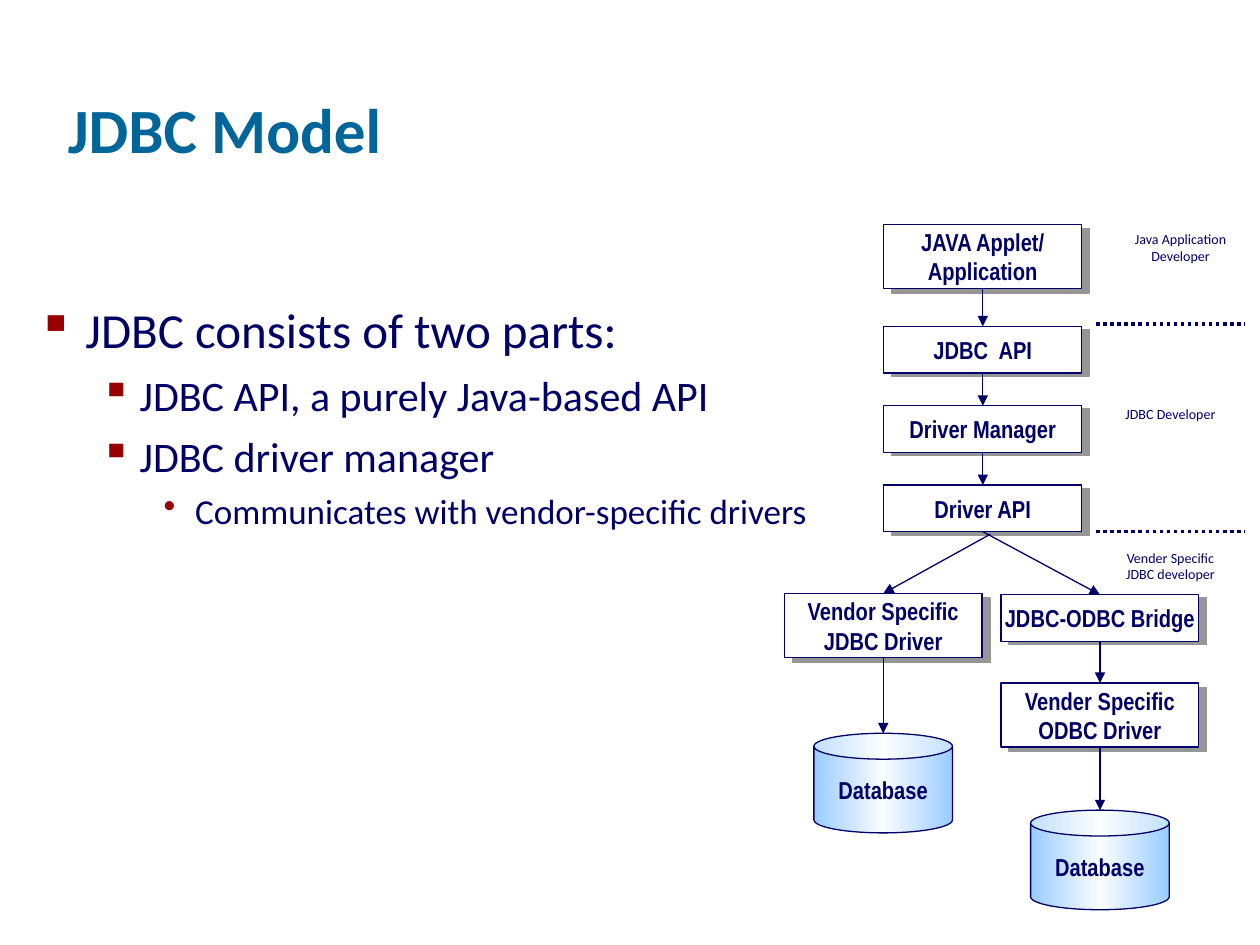
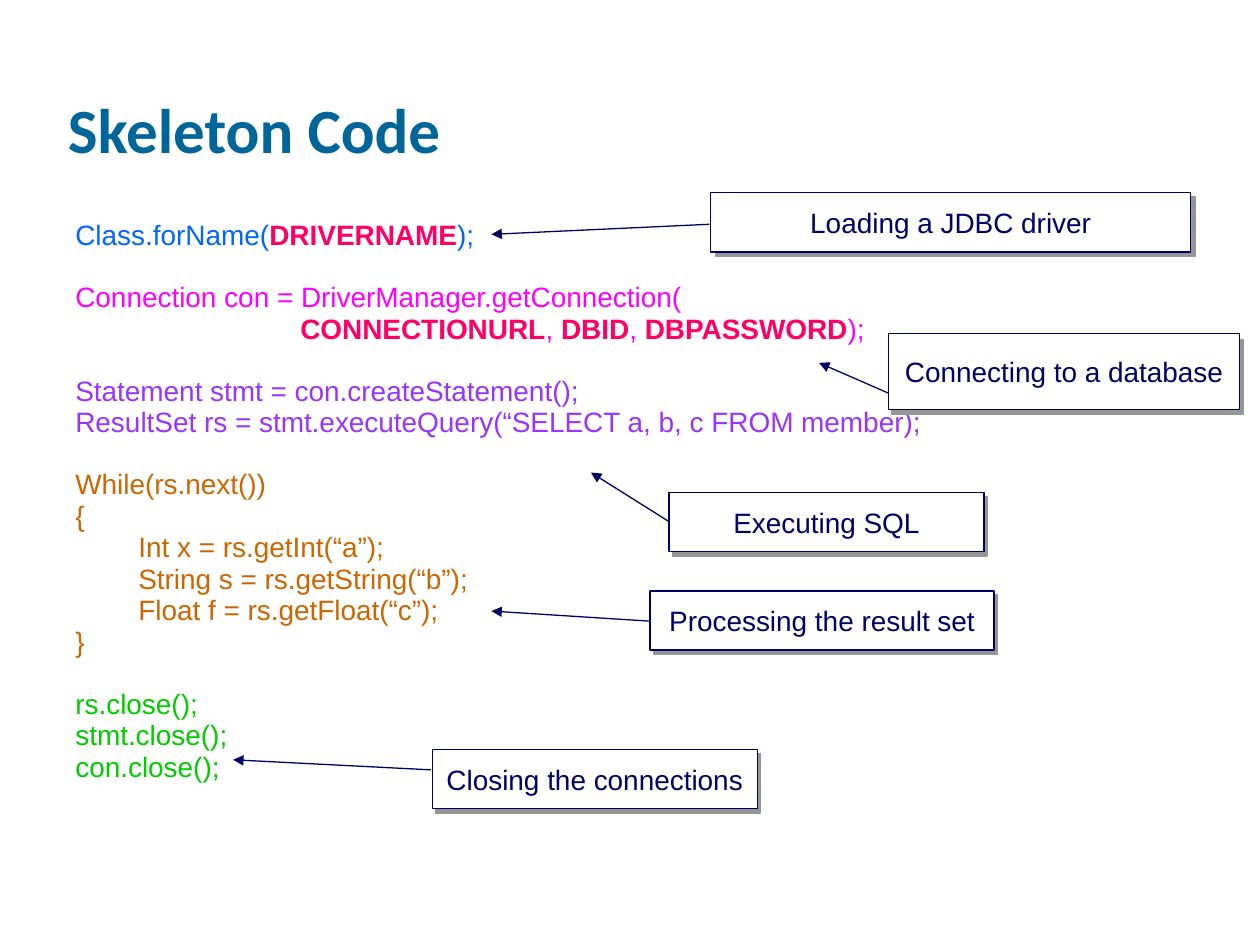
"""Build two slides on the JDBC model and its skeleton code."""
from copy import deepcopy
from dataclasses import dataclass

import pptx
import pptx.dml.color
import pptx.enum.dml
import pptx.enum.shapes
import pptx.enum.text
import pptx.oxml
import pptx.oxml.ns
import pptx.util
from pptx.dml.color import RGBColor

WIDTH, HEIGHT = pptx.util.Inches(10), pptx.util.Inches(7.5)
COLUMN, ROW = WIDTH / 100, HEIGHT / 75

NAVY = RGBColor(0x00, 0x00, 0x66)
TITLE_BLUE = RGBColor(0x00, 0x66, 0x99)
BULLET_RED = RGBColor(0x99, 0x00, 0x00)
SHADOW_GRAY = RGBColor(0x96, 0x96, 0x96)
WHITE = RGBColor(0xFF, 0xFF, 0xFF)
CAN_EDGE = RGBColor(0x99, 0xCC, 0xFF)
CAN_MIDDLE = RGBColor(0xFA, 0xFC, 0xFE)
LOAD_BLUE = RGBColor(0x00, 0x66, 0xFF)
CONNECT_MAGENTA = RGBColor(0xFF, 0x00, 0xFF)
QUERY_PURPLE = RGBColor(0x99, 0x33, 0xFF)
RESULT_BROWN = RGBColor(0xCC, 0x66, 0x00)
CLOSE_GREEN = RGBColor(0x00, 0xCC, 0x00)
ARGUMENT_PINK = RGBColor(0xFF, 0x00, 0x66)

CENTER = pptx.enum.text.PP_ALIGN.CENTER
MIDDLE = pptx.enum.text.MSO_ANCHOR.MIDDLE
RECTANGLE = pptx.enum.shapes.MSO_SHAPE.RECTANGLE
CAN = pptx.enum.shapes.MSO_SHAPE.CAN
Point = tuple[float, float]


@dataclass(frozen=True)
class Area:
    left: float
    top: float
    width: float
    height: float

    @property
    def bottom(self) -> float:
        return self.top + self.height

    @property
    def center(self) -> float:
        return self.left + self.width / 2

    def emu(self) -> tuple[int, int, int, int]:
        return (round(self.left * COLUMN), round(self.top * ROW),
                round(self.width * COLUMN), round(self.height * ROW))


@dataclass(frozen=True)
class TextStyle:
    name: str
    size: float
    color: RGBColor = NAVY
    bold: bool = False


@dataclass(frozen=True)
class Bullet:
    text: str
    symbol: str
    size: int
    margin: float
    hang: float
    before: float


@dataclass(frozen=True)
class CodeLine:
    pieces: tuple[str, ...]
    indent: float = 0


@dataclass(frozen=True)
class Callout:
    text: str
    area: Area
    start: Point
    target: Point


TITLE = TextStyle("Calibri", 36, TITLE_BLUE, True)
NODE = TextStyle("Arial Narrow", 14, bold=True)
LABEL = TextStyle("Calibri", 8)
CALLOUT = TextStyle("Arial", 16)

BULLETS = (
    Bullet("JDBC consists of two parts:", "▪", 28, 3.8, 3.8, 0),
    Bullet("JDBC API, a purely Java-based API", "▪", 24, 8.1, 3.1, 6),
    Bullet("JDBC driver manager", "▪", 24, 8.1, 3.1, 6),
    Bullet("Communicates with vendor-specific drivers", "•", 20, 12.5, 2.5, 5),
)

NODE_WIDTH, ONE_LINE, TWO_LINES = 15.7, 3.7, 5.1
MAIN_CENTER, VENDOR_CENTER, BRIDGE_CENTER = 78, 70.1, 87.3
STACK_TOP, STACK_STEP = 25.9, 6.3

LABELS = (
    ("Java Application Developer", Area(88.6, 17.8, 10.2, 5)),
    ("JDBC Developer", Area(87.8, 31.7, 10.2, 2.4)),
    ("Vender Specific JDBC developer", Area(87.8, 43.1, 10.2, 5)),
)

CODE_BLOCKS = (
    (LOAD_BLUE, (CodeLine(("Class.forName(", "DRIVERNAME", ");")),)),
    (CONNECT_MAGENTA, (
        CodeLine(("Connection con = DriverManager.getConnection(",)),
        CodeLine(("                             ", "CONNECTIONURL", ", ",
                  "DBID", ", ", "DBPASSWORD", ");")))),
    (QUERY_PURPLE, (
        CodeLine(("Statement stmt = con.createStatement();",)),
        CodeLine(("ResultSet rs = stmt.executeQuery(“SELECT a, b, c FROM member);",)))),
    (RESULT_BROWN, (
        CodeLine(("While(rs.next())",)),
        CodeLine(("{",)),
        CodeLine(("Int x = rs.getInt(“a”);",), 5),
        CodeLine(("String s = rs.getString(“b”);",), 5),
        CodeLine(("Float f = rs.getFloat(“c”);",), 5),
        CodeLine(("}",)))),
    (CLOSE_GREEN, (
        CodeLine(("rs.close();",)),
        CodeLine(("stmt.close();",)),
        CodeLine(("con.close();",)))),
)
CODE_GAP, CODE_PITCH = 4.6, 17.4

CALLOUTS = (
    Callout("Loading a JDBC driver", Area(56.4, 15.3, 38.1, 4.7), (56.3, 17.8), (39, 18.6)),
    Callout("Connecting to a database", Area(70.5, 26.5, 27.9, 6), (70.5, 31.2), (65, 28.8)),
    Callout("Executing SQL", Area(53.1, 39.1, 25, 4.7), (53.1, 41.4), (46.9, 37.5)),
    Callout("Processing the result set", Area(51.6, 46.9, 27.3, 4.7), (51.6, 49.3), (39, 48.5)),
    Callout("Closing the connections", Area(34.3, 59.5, 25.8, 4.7), (34.2, 61.1), (18.5, 60.3)),
)


def set_font(font, style: TextStyle) -> None:
    font.name, font.size, font.bold = style.name, pptx.util.Pt(style.size), style.bold
    font.color.rgb = style.color


def add_drawing_element(parent, tag: str, **attributes: str):
    element = pptx.oxml.parse_xml(f"<a:{tag} {pptx.oxml.ns.nsdecls('a')}/>")
    for name, value in attributes.items():
        element.set(name, value)
    parent.append(element)
    return element


def set_indent(paragraph, margin: float, hang: float = 0):
    properties = paragraph._p.get_or_add_pPr()
    properties.set("marL", str(round(margin * COLUMN)))
    properties.set("indent", str(round(-hang * COLUMN)))
    return properties


def add_text_box(page, area: Area):
    frame = page.shapes.add_textbox(*area.emu()).text_frame
    frame.word_wrap = True
    return frame


def add_title(page, text: str) -> None:
    frame = add_text_box(page, Area(4.4, 1.2, 85, 12.5))
    frame.vertical_anchor = pptx.enum.text.MSO_ANCHOR.BOTTOM
    frame.text = text
    set_font(frame.paragraphs[0].font, TITLE)


def add_shape(page, kind, area: Area, line_color: RGBColor):
    shape = page.shapes.add_shape(kind, *area.emu())
    shape.shadow.inherit = False
    shape.line.color.rgb = line_color
    shape.line.width = pptx.util.Pt(0.75)
    return shape


def write_centered(shape, text: str, style: TextStyle) -> None:
    frame = shape.text_frame
    frame.word_wrap = False
    frame.vertical_anchor = MIDDLE
    frame.text = text
    for paragraph in frame.paragraphs:
        paragraph.alignment = CENTER
        set_font(paragraph.font, style)


def add_raised_box(page, text: str, area: Area, style: TextStyle, shift: float) -> Area:
    backing = Area(area.left + shift * area.width, area.top + 0.07 * area.height,
                   area.width, area.height)
    for place, fill, line in ((backing, SHADOW_GRAY, SHADOW_GRAY), (area, WHITE, NAVY)):
        box = add_shape(page, RECTANGLE, place, line)
        box.fill.solid()
        box.fill.fore_color.rgb = fill
    write_centered(box, text, style)
    return area


def add_node(page, text: str, center: float, top: float) -> Area:
    height = TWO_LINES if "\n" in text else ONE_LINE
    area = Area(center - NODE_WIDTH / 2, top, NODE_WIDTH, height)
    return add_raised_box(page, text, area, NODE, 0.04)


def add_database(page, center: float, top: float) -> Area:
    area = Area(center - 5.5, top, 11, 7.9)
    can = add_shape(page, CAN, area, NAVY)
    can.adjustments[0] = 0.26
    can.fill.gradient()
    can.fill.gradient_angle = 0
    stop_list = can._element.spPr.find(".//" + pptx.oxml.ns.qn("a:gsLst"))
    stop_list.insert(1, deepcopy(stop_list[0]))
    for stop, position, color in zip(can.fill.gradient_stops, (0, 0.5, 1),
                                     (CAN_EDGE, CAN_MIDDLE, CAN_EDGE)):
        stop.position = position
        stop.color.rgb = color
    write_centered(can, "Database", NODE)
    return area


def add_line(page, start: Point, end: Point, width: float = 0.75):
    ends = (round(value * unit) for value, unit in zip(start + end, (COLUMN, ROW) * 2))
    line = page.shapes.add_connector(pptx.enum.shapes.MSO_CONNECTOR.STRAIGHT, *ends)
    line.line.color.rgb = NAVY
    line.line.width = pptx.util.Pt(width)
    add_drawing_element(line._element.spPr, "effectLst")
    return line


def add_arrow(page, start: Point, end: Point) -> None:
    arrow = add_line(page, start, end)
    add_drawing_element(arrow.line._get_or_add_ln(), "tailEnd", type="triangle")


def add_bullets(page) -> None:
    frame = add_text_box(page, Area(2, 23.3, 63.8, 44.9))
    frame.text = "\n".join(bullet.text for bullet in BULLETS)
    for paragraph, bullet in zip(frame.paragraphs, BULLETS):
        paragraph.space_before = pptx.util.Pt(bullet.before)
        properties = set_indent(paragraph, bullet.margin, bullet.hang)
        color = add_drawing_element(properties, "buClr")
        add_drawing_element(color, "srgbClr", val=str(BULLET_RED))
        add_drawing_element(properties, "buChar", char=bullet.symbol)
        set_font(paragraph.font, TextStyle("Calibri", bullet.size))


def add_model(page) -> None:
    applet = add_node(page, "JAVA Applet/\nApplication", MAIN_CENTER, 17.8)
    stack = [applet] + [
        add_node(page, text, MAIN_CENTER, STACK_TOP + index * STACK_STEP)
        for index, text in enumerate(("JDBC  API", "Driver Manager", "Driver API"))]
    vendor = [add_node(page, "Vendor Specific\nJDBC Driver", VENDOR_CENTER, 47.1),
              add_database(page, VENDOR_CENTER, 58.2)]
    bridge = [add_node(page, "JDBC-ODBC Bridge", BRIDGE_CENTER, 47.2),
              add_node(page, "Vender Specific\nODBC Driver", BRIDGE_CENTER, 54.2),
              add_database(page, BRIDGE_CENTER, 64.3)]
    for chain in (stack, vendor, bridge):
        for upper, lower in zip(chain, chain[1:]):
            add_arrow(page, (upper.center, upper.bottom), (lower.center, lower.top))
    add_arrow(page, (78.6, 42.4), (vendor[0].center, vendor[0].top))
    add_arrow(page, (78, 42.2), (bridge[0].center, bridge[0].top))
    for top in (25.7, 42.2):
        divider = add_line(page, (87, top), (98.8, top), 2)
        divider.line.dash_style = pptx.enum.dml.MSO_LINE.ROUND_DOT
    for text, area in LABELS:
        frame = add_text_box(page, area)
        frame.text = text
        frame.paragraphs[0].alignment = CENTER
        set_font(frame.paragraphs[0].font, LABEL)


def add_code(page) -> None:
    frame = add_text_box(page, Area(5, 17.5, 89.4, 48.8))
    paragraph = frame.paragraphs[0]
    for block, (color, lines) in enumerate(CODE_BLOCKS):
        for row, line in enumerate(lines):
            if block or row:
                paragraph = frame.add_paragraph()
                gap = CODE_GAP if row else CODE_GAP + CODE_PITCH
                paragraph.space_before = pptx.util.Pt(gap)
            paragraph.line_spacing = 0.7
            set_indent(paragraph, line.indent)
            set_font(paragraph.font, TextStyle("Arial", 16, color))
            for piece in line.pieces:
                span = paragraph.add_run()
                span.text = piece
                if piece.isupper():
                    span.font.bold = True
                    span.font.color.rgb = ARGUMENT_PINK


def main() -> None:
    deck = pptx.Presentation()
    deck.slide_width, deck.slide_height = WIDTH, HEIGHT
    model_page, code_page = (deck.slides.add_slide(deck.slide_layouts[6]) for _ in range(2))
    add_title(model_page, "JDBC Model")
    add_bullets(model_page)
    add_model(model_page)
    add_title(code_page, "Skeleton Code")
    add_code(code_page)
    for callout in CALLOUTS:
        add_raised_box(code_page, callout.text, callout.area, CALLOUT, 0.01)
        add_arrow(code_page, callout.start, callout.target)
    deck.save("out.pptx")


if __name__ == "__main__":
    main()
